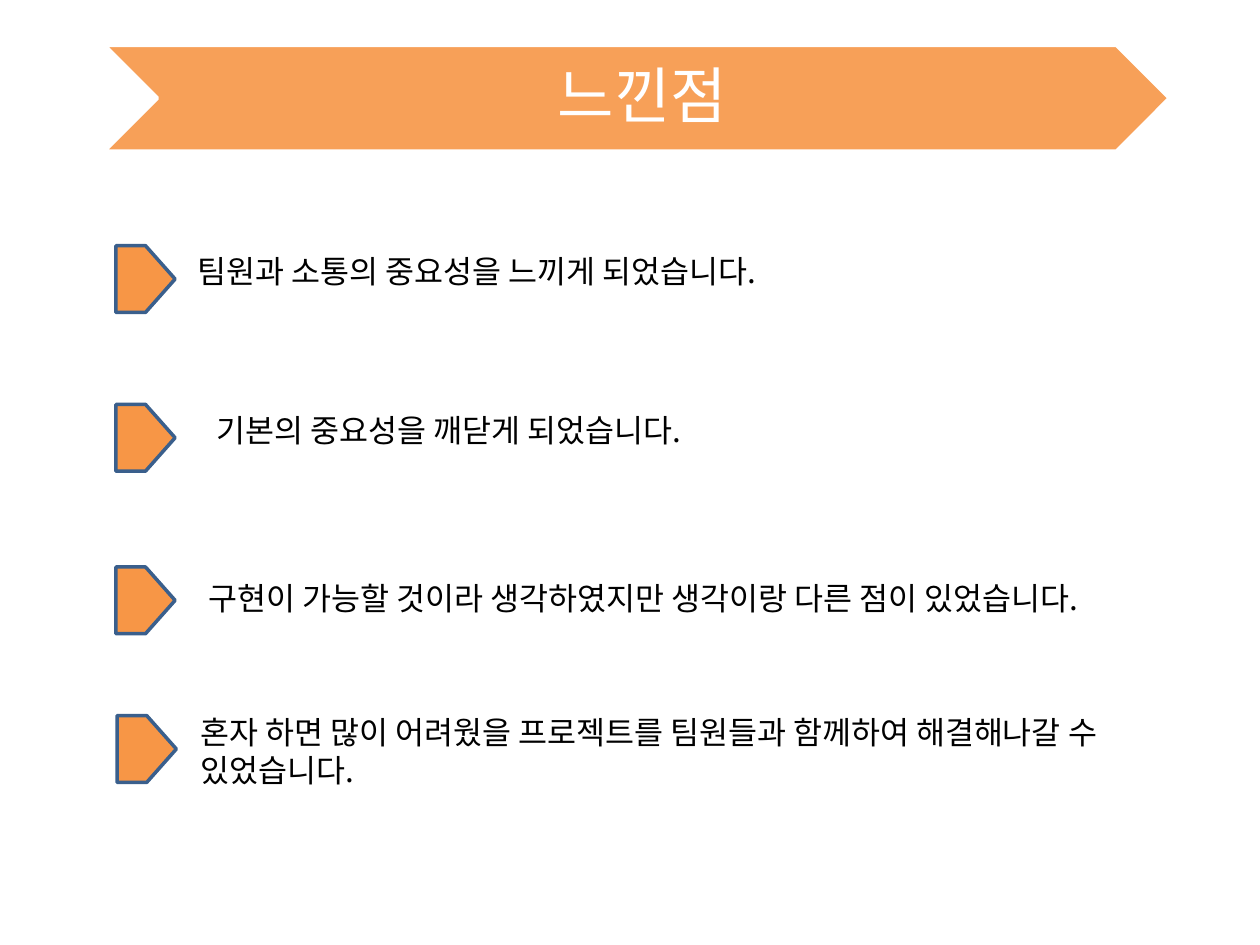
from dataclasses import dataclass

from lxml import etree
from pptx import Presentation
from pptx.dml.color import RGBColor
from pptx.enum.shapes import MSO_SHAPE
from pptx.enum.text import MSO_ANCHOR, MSO_AUTO_SIZE, PP_ALIGN
from pptx.oxml.ns import qn
from pptx.util import Inches, Pt

CHEVRON, PENTAGON = MSO_SHAPE.CHEVRON, MSO_SHAPE.PENTAGON
TOP, MIDDLE = MSO_ANCHOR.TOP, MSO_ANCHOR.MIDDLE
LEFT, CENTER = PP_ALIGN.LEFT, PP_ALIGN.CENTER
NO_AUTOFIT = MSO_AUTO_SIZE.NONE
TITLE_AND_CONTENT = 1


@dataclass(frozen=True)
class Theme:
    font: str = "Noto Sans CJK KR"
    title_size: int = 35
    body_size: int = 18
    line_width: int = 2
    orange: RGBColor = RGBColor(0xF7, 0x96, 0x46)
    navy: RGBColor = RGBColor(0x3A, 0x5F, 0x8C)
    white: RGBColor = RGBColor(0xFF, 0xFF, 0xFF)
    black: RGBColor = RGBColor(0, 0, 0)


class PageBuilder:
    def __init__(self, page, theme):
        self.page = page
        self.theme = theme

    def place(self, box, left, top, width, height):
        box.left, box.top = Inches(left), Inches(top)
        box.width, box.height = Inches(width), Inches(height)

    def set_text(self, box, text, size, color, align=LEFT, anchor=TOP):
        frame = box.text_frame
        frame.text = text
        frame.word_wrap = True
        frame.auto_size = NO_AUTOFIT
        frame.vertical_anchor = anchor
        para = frame.paragraphs[0]
        para.alignment = align
        para.space_before = Pt(0)
        for span in para.runs:
            span.font.name = self.theme.font
            span.font.size = Pt(size)
            span.font.color.rgb = color
            # Hangul takes its typeface from the East Asian font
            east_asian = etree.Element(qn("a:ea"), typeface=self.theme.font)
            span.font._element.find(qn("a:latin")).addnext(east_asian)
        return para

    def arrow(self, kind, place, line_color):
        shape = self.page.shapes.add_shape(kind, *map(Inches, place))
        shape.shadow.inherit = False
        shape.fill.solid()
        shape.fill.fore_color.rgb = self.theme.orange
        shape.line.color.rgb = line_color
        shape.line.width = Pt(self.theme.line_width)
        return shape

    def banner(self, text):
        theme = self.theme
        title = self.page.shapes.title
        self.place(title, 1.27, 0.36, 7.61, 0.84)
        para = self.set_text(title, text, theme.title_size, theme.white, CENTER, MIDDLE)
        para.line_spacing = 0.9
        frame = title.text_frame
        frame.margin_left, frame.margin_right = Inches(0.05), 0
        frame.margin_top = frame.margin_bottom = Inches(0.02)
        # The chevron lies behind the title and is slightly see-through
        chevron = self.arrow(CHEVRON, (0.83, 0.36, 8.45, 0.84), theme.white)
        color = chevron.element.spPr.find(qn("a:solidFill"))[0]
        etree.SubElement(color, qn("a:alpha"), val="90000")
        title.element.addprevious(chevron.element)

    def marker(self, left, top):
        self.arrow(PENTAGON, (left, top, 0.47, 0.53), self.theme.navy)

    def body(self, text, place, inset):
        box = self.page.placeholders[1]
        self.place(box, *place)
        self.remark(box, text, inset)
        # Plain text without the template's bullet
        properties = box.text_frame.paragraphs[0]._p.get_or_add_pPr()
        properties.set("marL", "0")
        properties.set("indent", "0")
        etree.SubElement(properties, qn("a:buNone"))

    def note(self, text, place, inset):
        box = self.page.shapes.add_textbox(*map(Inches, place))
        self.remark(box, text, inset)

    def remark(self, box, text, inset):
        self.set_text(box, text, self.theme.body_size, self.theme.black)
        box.text_frame.margin_left = Inches(inset)


# marker left and top, text place, left inset, text
REMARKS = [
    (0.92, 1.95, (1.41, 1.95, 6.99, 0.63), 0.16,
     "팀원과 소통의 중요성을 느끼게 되었습니다."),
    (0.92, 3.21, (1.56, 3.21, 6.99, 0.71), 0.16,
     "기본의 중요성을 깨닫게 되었습니다."),
    (0.92, 4.5, (1.56, 4.55, 7.95, 0.4), 0.1,
     "구현이 가능할 것이라 생각하였지만 생각이랑 다른 점이 있었습니다."),
    (0.93, 5.68, (1.49, 5.61, 7.53, 0.71), 0.1,
     "혼자 하면 많이 어려웠을 프로젝트를 팀원들과 함께하여 해결해나갈 수 있었습니다."),
]


def main():
    deck = Presentation()
    deck.slide_width, deck.slide_height = Inches(10), Inches(7.5)
    page = deck.slides.add_slide(deck.slide_layouts[TITLE_AND_CONTENT])
    builder = PageBuilder(page, Theme())

    # Title banner
    builder.banner("느낀점")

    # Remarks: the first fills the body placeholder
    for index, (left, top, place, inset, text) in enumerate(REMARKS):
        builder.marker(left, top)
        add_text = builder.note if index else builder.body
        add_text(text, place, inset)

    deck.save("out.pptx")


if __name__ == "__main__":
    main()
